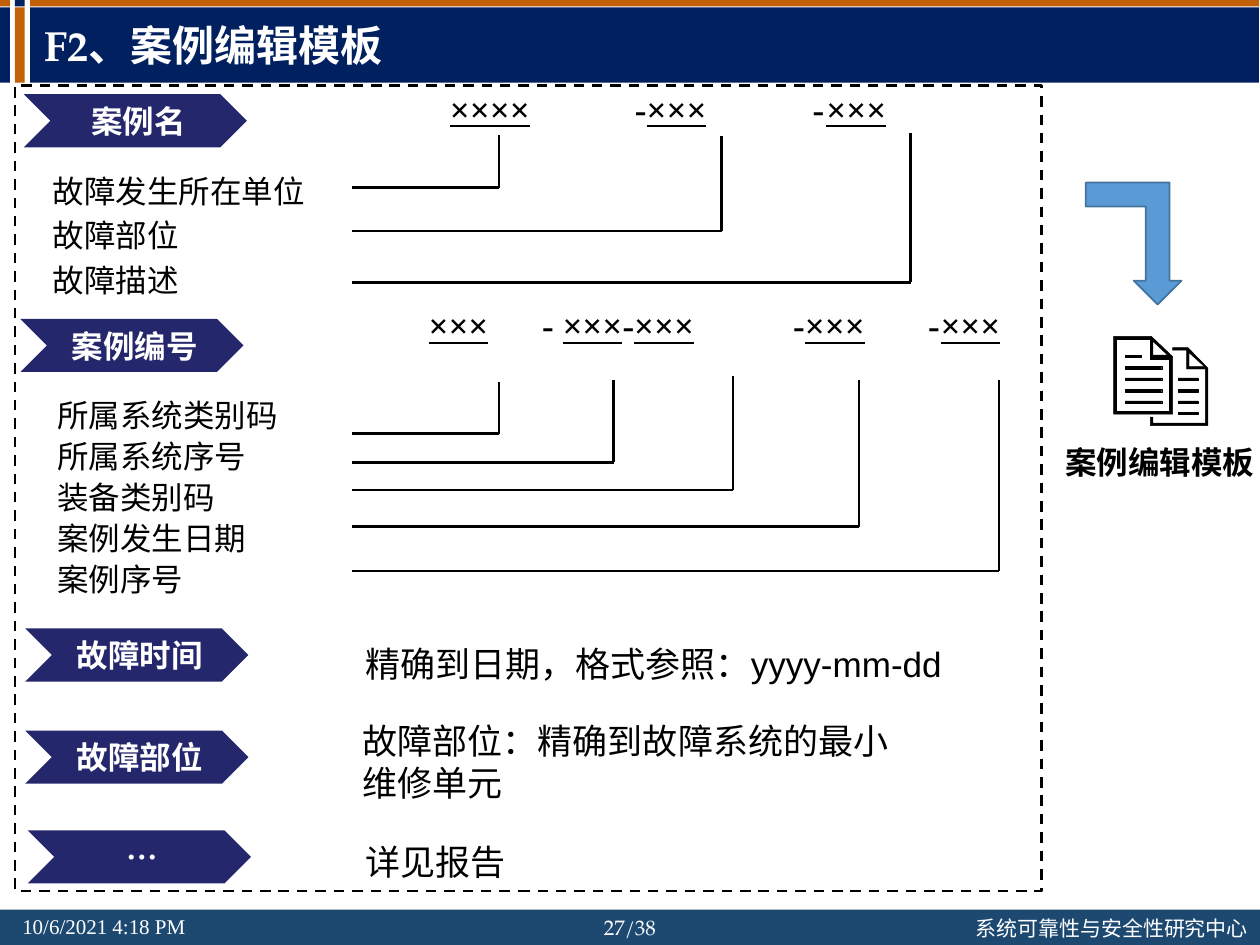
from itertools import groupby

from pptx import Presentation
from pptx.dml.color import RGBColor
from pptx.enum.dml import MSO_LINE
from pptx.enum.shapes import MSO_CONNECTOR, MSO_SHAPE
from pptx.enum.text import MSO_ANCHOR, PP_ALIGN
from pptx.oxml import parse_xml
from pptx.oxml.ns import qn
from pptx.util import Cm, Pt

RECT, CHEVRON, BENT_ARROW = MSO_SHAPE.RECTANGLE, MSO_SHAPE.CHEVRON, MSO_SHAPE.BENT_UP_ARROW
STRAIGHT, DASH, MIDDLE = MSO_CONNECTOR.STRAIGHT, MSO_LINE.DASH, MSO_ANCHOR.MIDDLE
CENTER, JUSTIFY = PP_ALIGN.CENTER, PP_ALIGN.JUSTIFY
A_NS = "http://schemas.openxmlformats.org/drawingml/2006/main"
NO_GRID_STYLE = "{2D5ABB26-0587-4C30-8999-92F81FD0307C}"

THEME = {
    "navy": "002060", "orange": "C16007", "footer": "1D4971", "tag": "25276D",
    "arrow": "5B9BD5", "arrow_edge": "43739E", "ink": "000000", "paper": "FFFFFF",
    "cjk": "Noto Sans CJK SC", "serif": "Times New Roman", "sans": "Arial",
    "display": "TeX Gyre Pagella",
    "title": 24, "note": 20, "label": 18, "small": 12,
}

# All positions are in centimetres: left, top, width, height
BANDS = [
    ("footer", (0, 18.34, 25.4, 0.71)),
    ("navy", (0.61, 0.15, 24.77, 1.52)), ("orange", (0.61, 0, 24.77, 0.13)),
    ("orange", (0.3, 0.15, 0.2, 1.52)), ("navy", (0.3, 0, 0.2, 0.13)),
    ("navy", (0, 0.15, 0.2, 1.52)), ("orange", (0, 0, 0.2, 0.13)),
]
TAGS = [("案例名", 0.48, 1.9), ("案例编号", 0.41, 6.43), ("故障时间", 0.51, 12.67),
        ("故障部位", 0.51, 14.73), ("…", 0.56, 16.74)]
TAG_SIZE = (4.5, 1.07)

CODES = [  # position, column widths, cell texts
    ((8.46, 1.3), (0.61, 3.73, 3.58, 0.28, 5.77), ("", "××××", "-×××", "-", "×××")),
    ((8.64, 5.66), (2.29, 0.41, 4.65, 2.72, 0.25, 6.45),
     ("×××", "-", "×××-×××", "-×××", "-", "×××")),
]
CODE_HEIGHT = 2.01
BRACKET_LEFT = 7.09
BRACKETS = [  # x, top, bottom
    (10.06, 2.72, 3.78), (14.55, 2.74, 4.66), (18.36, 2.69, 5.69),
    (10.06, 7.7, 8.74), (12.37, 7.67, 9.32), (14.78, 7.57, 9.88),
    (17.32, 7.67, 10.62), (20.14, 7.67, 11.51),
]
NAME_PARTS = ["故障发生所在单位", "故障部位", "故障描述"]
NUMBER_PARTS = [("所属系统类别码", 5.1), ("所属系统序号", 4.37), ("装备类别码", 3.71),
                ("案例发生日期", 4.37), ("案例序号", 3.07)]

WHITE_SMALL = {"size": "small", "color": "paper"}
TEXTS = [
    ("F2、案例编辑模板", (0.64, 0.15, 22.53, 1.52),
     {"size": "title", "color": "paper", "font": "display", "bold": True, "anchor": MIDDLE}),
    ("10/6/2021 4:18 PM", (0.2, 18.29, 4.14, 0.76),
     {**WHITE_SMALL, "font": "serif", "wrap": False}),
    ("27/38", (11.81, 18.31, 1.78, 0.76),
     {**WHITE_SMALL, "font": "display", "align": CENTER}),
    ("系统可靠性与安全性研究中心", (19.41, 18.34, 6.1, 0.76), {**WHITE_SMALL, "wrap": False}),
    ("精确到日期，格式参照：yyyy-mm-dd", (7.11, 12.83, 12.73, 1.12),
     {"size": "note", "font": "sans", "wrap": False}),
    ("故障部位：精确到故障系统的最小维修单元", (7.06, 14.38, 11.71, 1.96), {"size": "note"}),
    ("详见报告", (7.11, 16.81, 11.71, 1.12), {"size": "note"}),
    ("案例编辑模板", (21.23, 8.81, 4.37, 1.02),
     {"font": "serif", "bold": True, "wrap": False}),
]
TEXTS += [(t, (0.81, 3.35 + 0.89 * i, 6.6, 1.02), {}) for i, t in enumerate(NAME_PARTS)]
TEXTS += [(t, (0.91, 7.98 + 0.83 * i, w, 0.89),
           {"font": "sans", "align": JUSTIFY, "spacing": 18, "wrap": False})
          for i, (t, w) in enumerate(NUMBER_PARTS)]

# Two overlapping pages, in hundredths of a centimetre from ICON_AT
ICON_AT = (22.45, 6.78)
PAGES = [
    [(0, 0), (76, 0), (119, 41), (119, 157), (0, 157)],
    [(5, 5), (74, 5), (74, 46), (112, 46), (112, 152), (5, 152)],
    [(79, 10), (79, 38), (109, 38)],
    [(119, 23), (150, 23), (190, 64), (190, 180), (74, 180), (74, 163), (79, 163),
     (79, 175), (185, 175), (185, 66), (147, 66), (147, 28), (119, 28)],
    [(152, 33), (152, 61), (183, 61)],
]
BARS = [(23, 56 if i == 0 else 97, 38 + 23 * i) for i in range(5)]
BARS += [(130, 170, 84 + 23 * i) for i in range(4)]
PAGES += [[(x1, y), (x2, y), (x2, y + 5), (x1, y + 5)] for x1, x2, y in BARS]


def rgb(name):
    return RGBColor.from_string(THEME[name])


def cms(values):
    return [Cm(v) for v in values]


def paint(s, fill=None, line=None, width=1):
    s.shadow.inherit = False
    if fill:
        s.fill.solid()
        s.fill.fore_color.rgb = rgb(fill)
    else:
        s.fill.background()
    if line:
        s.line.color.rgb = rgb(line)
        s.line.width = Pt(width)
    else:
        s.line.fill.background()


def add_run(p, text, size="label", color="ink", font="cjk", bold=False, underline=False):
    r = p.add_run()
    r.text = text
    formats = {"name": THEME[font], "size": Pt(THEME[size]), "bold": bold,
               "underline": underline}
    for key, value in formats.items():
        setattr(r.font, key, value)
    r.font.color.rgb = rgb(color)
    ea = parse_xml(f'<a:ea xmlns:a="{A_NS}" typeface="{THEME["cjk"]}"/>')
    r.font._element.find(qn("a:latin")).addnext(ea)


def add_text(shapes, text, box, align=None, anchor=None, spacing=None, wrap=True, **style):
    tf = shapes.add_textbox(*cms(box)).text_frame
    tf.word_wrap, tf.vertical_anchor = wrap, anchor
    p = tf.paragraphs[0]
    p.alignment = align
    p.line_spacing = Pt(spacing) if spacing else None
    add_run(p, text, **style)


def add_tag(shapes, text, x, y):
    s = shapes.add_shape(CHEVRON, *cms((x, y, *TAG_SIZE)))
    paint(s, "tag")
    tf = s.text_frame
    margins = {"margin_left": 0.2, "margin_right": 0.08, "margin_top": 0.08,
               "margin_bottom": 0.08}
    for key, value in margins.items():
        setattr(tf, key, Cm(value))
    tf.vertical_anchor = MIDDLE
    tf.paragraphs[0].alignment = CENTER
    add_run(tf.paragraphs[0], text, color="paper", bold=True)


def add_code(shapes, at, widths, texts):
    """Borderless one-row table; crosses are underlined, hyphens are not."""
    frame = shapes.add_table(1, len(texts), *cms((*at, sum(widths), CODE_HEIGHT)))
    table = frame.table
    table.first_row = table.horz_banding = False
    table._tbl.tblPr.find(qn("a:tableStyleId")).text = NO_GRID_STYLE
    for i, (width, text) in enumerate(zip(widths, texts)):
        table.columns[i].width = Cm(width)
        cell = table.cell(0, i)
        cell.fill.background()
        cell.vertical_anchor = MIDDLE
        for side in ("left", "right", "top", "bottom"):
            setattr(cell, f"margin_{side}", 0)
        p = cell.text_frame.paragraphs[0]
        p.line_spacing = Pt(18)
        for crosses, chars in groupby(text, lambda c: c == "×"):
            add_run(p, "".join(chars), "note", font="serif", bold=True, underline=crosses)


def add_line(shapes, *ends):
    s = shapes.add_connector(STRAIGHT, *cms(ends))
    s.line.color.rgb = rgb("ink")
    s.line.width = Pt(1.5)
    s._element.spPr.append(parse_xml(f'<a:effectLst xmlns:a="{A_NS}"/>'))


def add_icon(shapes):
    builder = None
    for outline in PAGES:
        if builder is None:
            builder = shapes.build_freeform(*outline[0], scale=Cm(0.01))
        else:
            builder.move_to(*outline[0])
        builder.add_line_segments(outline[1:], close=True)
    paint(builder.convert_to_shape(*cms(ICON_AT)), "ink", "ink", 0.25)


def main():
    prs = Presentation()
    prs.slide_width, prs.slide_height = Cm(25.4), Cm(19.05)
    shapes = prs.slides.add_slide(prs.slide_layouts[6]).shapes
    for color, box in BANDS:
        paint(shapes.add_shape(RECT, *cms(box)), color)
    for tag in TAGS:
        add_tag(shapes, *tag)
    for code in CODES:
        add_code(shapes, *code)
    for x, top, bottom in BRACKETS:
        add_line(shapes, x, top, x, bottom)
        add_line(shapes, x, bottom, BRACKET_LEFT, bottom)
    for text, box, style in TEXTS:
        add_text(shapes, text, box, **style)
    add_icon(shapes)

    frame = shapes.add_shape(RECT, *cms((0.3, 1.73, 20.7, 16.23)))
    paint(frame, line="ink", width=1.5)
    frame.line.dash_style = DASH
    arrow = shapes.add_shape(BENT_ARROW, *cms((21.89, 3.68, 1.93, 2.46)))
    paint(arrow, "arrow", "arrow_edge")
    arrow.rotation = 180
    arrow._element.spPr.find(qn("a:xfrm")).set("flipH", "1")
    prs.save("out.pptx")


if __name__ == "__main__":
    main()
